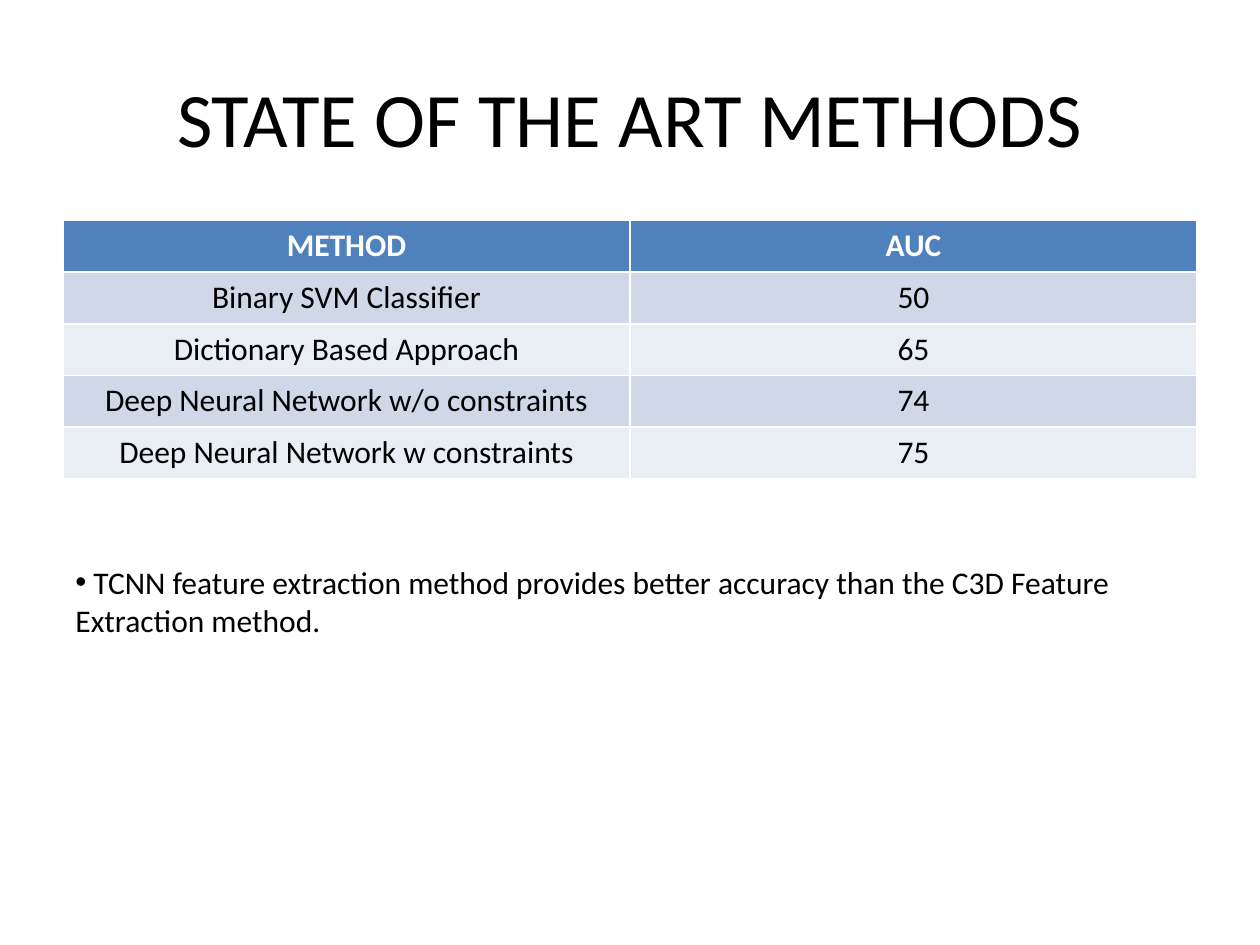
from dataclasses import dataclass
from lxml import etree
from pptx import Presentation, util as u
from pptx.dml.color import RGBColor
from pptx.enum import text
from pptx.oxml import ns


@dataclass(frozen=True)
class Theme:
    font: str = "Calibri"
    ink: str = "000000"
    paper: str = "FFFFFF"
    header: str = "4F81BD"
    bands: tuple = ("D0D8E8", "E9EDF4")
    title_size: int = 44
    body_size: int = 18


theme = Theme()


def write(frame, words, size, color, align, bold=False):
    frame.word_wrap = True
    frame.vertical_anchor = text.MSO_ANCHOR.TOP
    line = frame.paragraphs[0]
    line.text = words
    line.alignment = align
    line.font.name = theme.font
    line.font.size = u.Pt(size)
    line.font.bold = bold
    line.font.color.rgb = RGBColor.from_string(color)
    return line


deck = Presentation()
deck.slide_width, deck.slide_height = u.Inches(10), u.Inches(7.5)
slide = deck.slides.add_slide(deck.slide_layouts[6])

margin = u.Inches(0.5)
content_width = deck.slide_width - 2 * margin
center, left = text.PP_ALIGN.CENTER, text.PP_ALIGN.LEFT

title = slide.shapes.add_textbox(margin, u.Inches(0.3), content_width, u.Inches(1.25)).text_frame
write(title, "STATE OF THE ART METHODS", theme.title_size, theme.ink, center)
title.vertical_anchor = text.MSO_ANCHOR.MIDDLE

results = [
    ("METHOD", "AUC"),
    ("Binary SVM Classifier", "50"),
    ("Dictionary Based Approach", "65"),
    ("Deep Neural Network w/o constraints", "74"),
    ("Deep Neural Network w constraints", "75"),
]
row_height = u.Inches(0.41)
scores = slide.shapes.add_table(
    len(results), len(results[0]), margin, u.Inches(1.75), content_width, row_height * len(results)
).table
for r, result in enumerate(results):
    is_header = r == 0
    fill = theme.header if is_header else theme.bands[(r - 1) % 2]
    color = theme.paper if is_header else theme.ink
    for c, words in enumerate(result):
        cell = scores.cell(r, c)
        cell.fill.solid()
        cell.fill.fore_color.rgb = RGBColor.from_string(fill)
        write(cell.text_frame, words, theme.body_size, color, center, is_header)

finding = slide.shapes.add_textbox(margin, u.Inches(4.42), u.Inches(9.08), u.Inches(0.71)).text_frame
point = write(
    finding,
    " TCNN feature extraction method provides better accuracy than the C3D Feature Extraction method.",
    theme.body_size, theme.ink, left,
)
finding.auto_size = text.MSO_AUTO_SIZE.SHAPE_TO_FIT_TEXT
properties = point._p.get_or_add_pPr()
bullet_font = etree.Element(ns.qn("a:buFont"), typeface="Arial")
bullet = etree.Element(ns.qn("a:buChar"), char="•")
properties.insert(0, bullet_font)
properties.insert(1, bullet)

deck.save("out.pptx")
